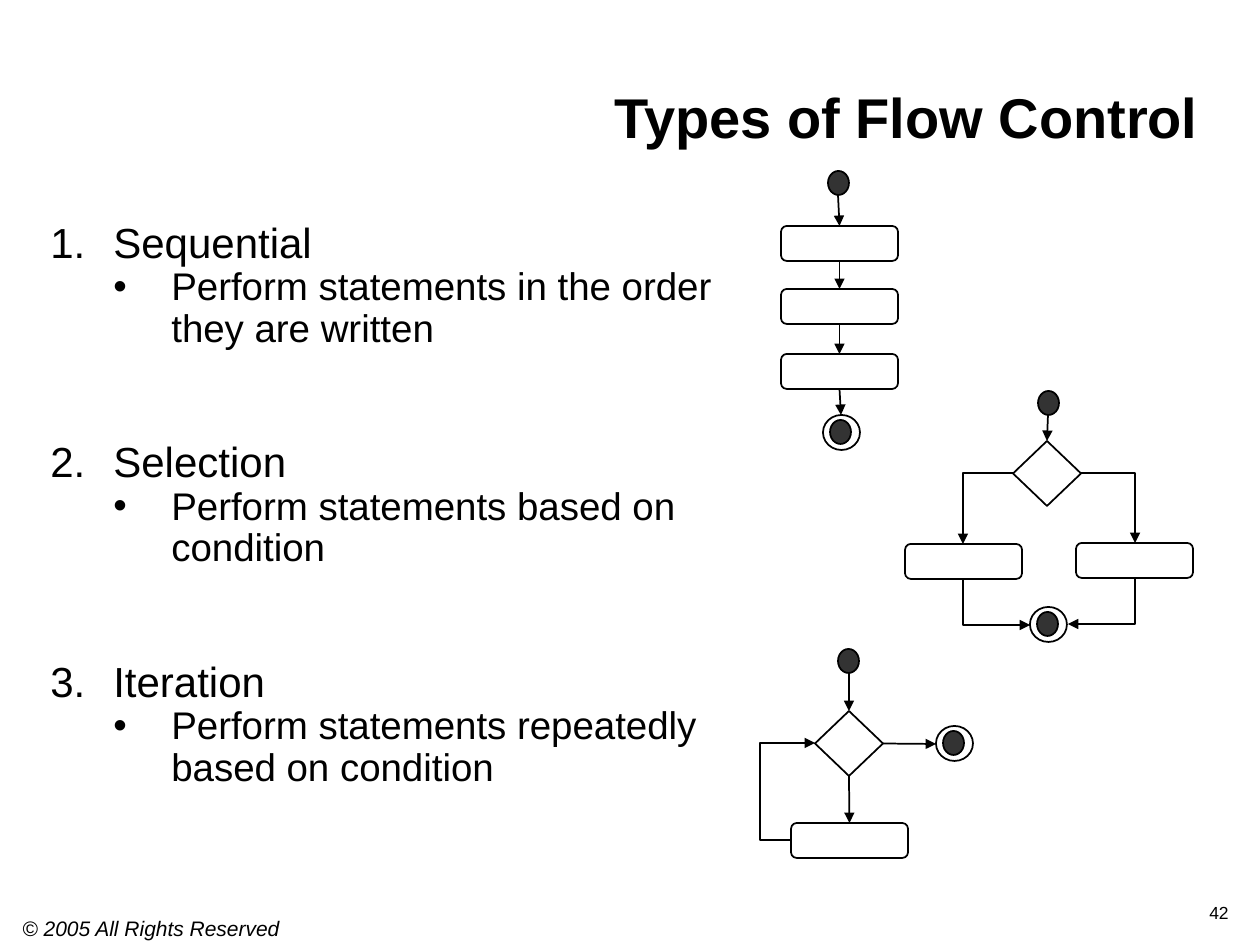
from lxml.etree import SubElement
from pptx import Presentation
from pptx.dml.color import RGBColor
from pptx.enum.shapes import MSO_CONNECTOR as CONN, MSO_SHAPE as SHAPE
from pptx.enum.text import MSO_ANCHOR as ANCHOR, PP_ALIGN as ALIGN
from pptx.oxml.ns import qn
from pptx.util import Pt

PX = 7257.14  # EMU per px, 126 px to the inch
rgb = RGBColor.from_string

prs = Presentation()
prs.slide_width, prs.slide_height = 9144000, 6858000
s = prs.slides.add_slide(prs.slide_layouts[6])


def add_text(tf, text, size, bold=False, italic=False, align=ALIGN.LEFT,
             spacing=1.0, before=0, indent=None, bullet=None):
    """Fill the empty first paragraph of tf, or add a new one after it."""
    p = tf.paragraphs[0]
    if p.runs:
        p = tf.add_paragraph()
    if indent:
        pPr = p._p.get_or_add_pPr()
        pPr.set("marL", str(round(indent[0] * PX)))
        pPr.set("indent", str(round(indent[1] * PX)))
        tag, attrs = bullet
        SubElement(pPr, qn("a:buFont"), typeface="Arial")
        SubElement(pPr, qn(tag), attrs)
    p.alignment, p.line_spacing, p.space_before = align, spacing, Pt(before)
    r = p.add_run()
    r.text = text
    r.font.name, r.font.size = "Arial", Pt(size)
    r.font.bold, r.font.italic = bold, italic
    r.font.color.rgb = rgb("000000")


def add_arrow(x1, y1, x2, y2, prst="line", rot=0, start=None, end=None):
    """Arrow between two points; rot 90 or 270 makes an elbow leave vertically."""
    if rot:
        cx, cy = (x1 + x2) / 2, (y1 + y2) / 2
        dx, dy = (y2 - y1) / 2, abs(x2 - x1) / 2
        if rot == 270:
            dx = -dx
        x1, y1, x2, y2 = cx - dx, cy - dy, cx + dx, cy + dy
    kind = CONN.STRAIGHT if prst == "line" else CONN.ELBOW
    c = s.shapes.add_connector(kind, *(round(v * PX) for v in (x1, y1, x2, y2)))
    if start:
        c.begin_connect(*start)
    if end:
        c.end_connect(*end)
    c.line.color.rgb = rgb("000000")
    c.line.width = Pt(1)
    spPr = c._element.spPr
    spPr.find(qn("a:prstGeom")).set("prst", prst)
    if rot:
        spPr.find(qn("a:xfrm")).set("rot", str(rot * 60000))
    SubElement(c.line._get_or_add_ln(), qn("a:tailEnd"), type="triangle")
    SubElement(spPr, qn("a:effectLst"))
    return c


# Text boxes
frames = []
for x, y, w, h, anchor in [
    (10, 914, 420, 33, ANCHOR.TOP),
    (1008, 892, 233, 37, ANCHOR.BOTTOM),
    (88, 5, 1123, 151, ANCHOR.BOTTOM),
    (38, 216, 717, 640, ANCHOR.TOP),
]:
    tb = s.shapes.add_textbox(*(round(v * PX) for v in (x, y, w, h)))
    tb.text_frame.word_wrap = True
    tb.text_frame.vertical_anchor = anchor
    frames.append(tb.text_frame)
footer, number, title, body = frames

add_text(footer, "© 2005 All Rights Reserved", 12, italic=True, spacing=0.8)
add_text(number, "42", 10, align=ALIGN.RIGHT, spacing=0.8)
add_text(title, "Types of Flow Control", 32, bold=True, align=ALIGN.RIGHT)
topics = [
    ("Sequential", "Perform statements in the order they are written"),
    ("Selection", "Perform statements based on condition"),
    ("Iteration", "Perform statements repeatedly based on condition"),
]
for i, (name, detail) in enumerate(topics):
    add_text(body, name, 24, spacing=0.9, before=52 if i else 0, indent=(63, -63),
             bullet=("a:buAutoNum", {"type": "arabicPeriod", "startAt": str(i + 1)}))
    add_text(body, detail, 22, spacing=0.9, indent=(121, -58),
             bullet=("a:buChar", {"char": "•"}))

# Flow chart nodes
ends = [(823, 415), (1030, 607), (936, 726)]
dots = [(828, 171), (1038, 391), (838, 649)] + [(x + 7, y + 5) for x, y in ends]
steps = [(781, 226), (781, 289), (781, 354), (905, 544), (1076, 543), (791, 823)]
choices = [(1013, 441), (815, 711)]
nodes = []
for kind, places, w, h, fill in [
    (SHAPE.FLOWCHART_CONNECTOR, dots, 21, 24, "333333"),
    (SHAPE.FLOWCHART_CONNECTOR, ends, 37, 35, None),
    (SHAPE.ROUNDED_RECTANGLE, steps, 117, 35, None),
    (SHAPE.DIAMOND, choices, 68, 65, None),
]:
    group = []
    for x, y in places:
        sp = s.shapes.add_shape(kind, *(round(v * PX) for v in (x, y, w, h)))
        sp.shadow.inherit = False
        if fill:
            sp.fill.solid()
            sp.fill.fore_color.rgb = rgb(fill)
        else:
            sp.fill.background()
        sp.line.color.rgb = rgb("000000")
        sp.line.width = Pt(1)
        group.append(sp)
    nodes.append(group)
_, _, (step1, step2, step3, left, right, repeat), (select, loop) = nodes

# Sequence
add_arrow(838, 195, 839, 226, end=(step1, 0))
add_arrow(839, 261, 839, 289, start=(step1, 2), end=(step2, 0))
add_arrow(839, 324, 839, 354, start=(step2, 2), end=(step3, 0))
add_arrow(839, 389, 841, 415, start=(step3, 2))

# Selection
add_arrow(1048, 415, 1047, 441, end=(select, 0))
add_arrow(1081, 473, 1135, 543, "bentConnector2")
add_arrow(1013, 473, 963, 544, "bentConnector2")
add_arrow(963, 579, 1030, 625, "bentConnector2", rot=270)
add_arrow(1135, 578, 1068, 624, "bentConnector2", rot=90)

# Iteration
add_arrow(849, 673, 849, 711, end=(loop, 0))
add_arrow(883, 743, 936, 744, start=(loop, 3))
add_arrow(849, 776, 849, 823, start=(loop, 2), end=(repeat, 0))
back = add_arrow(791, 840, 815, 743, "bentConnector3")
SubElement(back._element.spPr.find(qn("a:prstGeom")).find(qn("a:avLst")), qn("a:gd"),
           name="adj1", fmla="val -128500")

prs.save("out.pptx")
